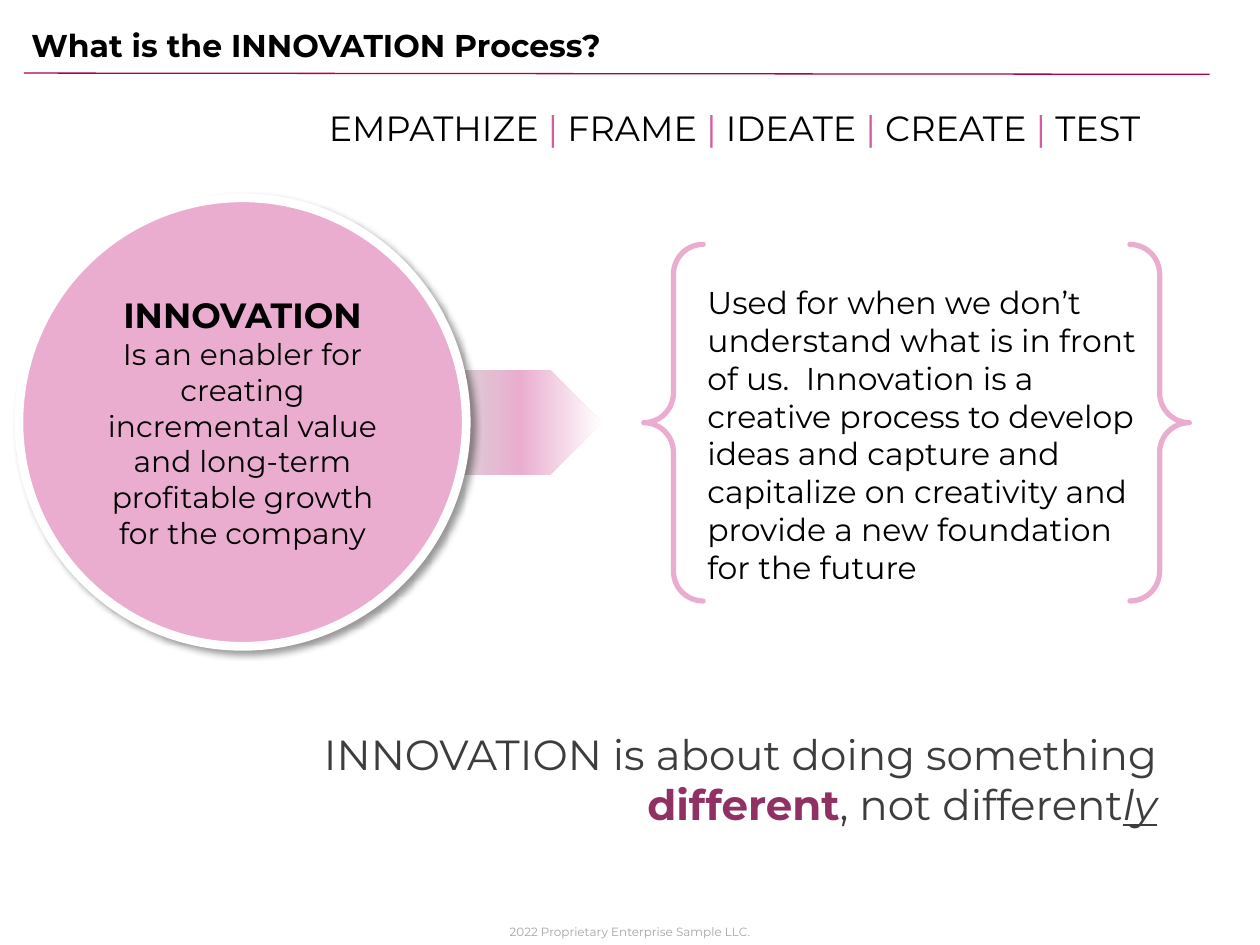
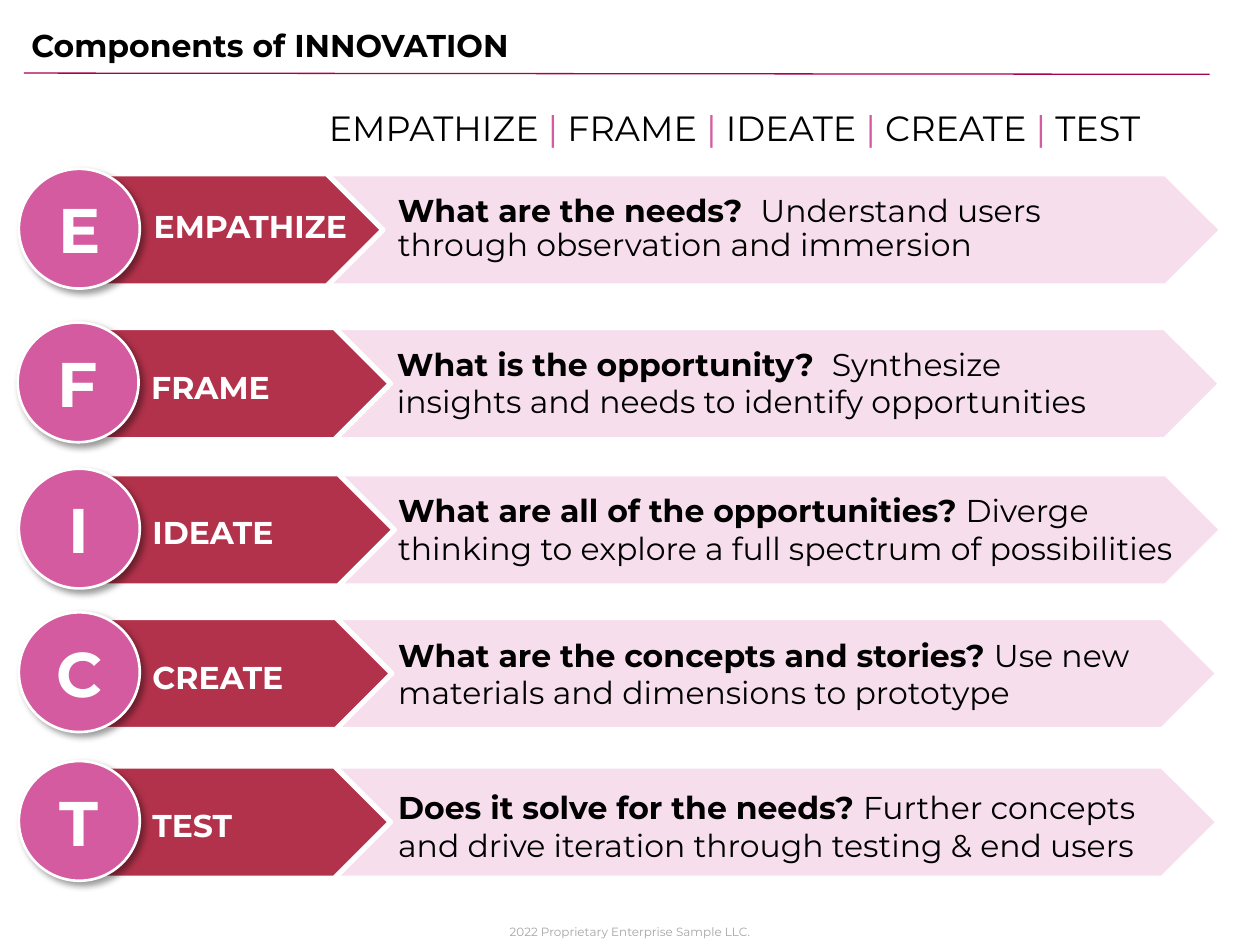
from lxml import etree
from pptx import Presentation, util as u
from pptx.dml.color import RGBColor
from pptx.enum import shapes, text
from pptx.oxml import parse_xml
from pptx.oxml.ns import nsdecls, qn

PX = 9144  # 100 px to the inch
FONT = "Montserrat"
COLOURS = {
    "black": "000000", "white": "FFFFFF", "grey": "3D3D3D", "footer": "A6A6A6",
    "rule": "A8034F", "plum": "903163", "pink": "D45B9F", "rose": "EAADCF",
    "blush": "F6DEEC", "crimson": "B2324B", "silver": "D8D8D8",
}
RGB = {name: RGBColor.from_string(value) for name, value in COLOURS.items()}
PRESET = shapes.MSO_SHAPE
ALIGN = text.PP_ALIGN

STAGES = ["EMPATHIZE", "FRAME", "IDEATE", "CREATE", "TEST"]
TITLES = ["What is the INNOVATION Process?", "Components of INNOVATION"]
FOOTER = "2022 Proprietary Enterprise Sample LLC."


def add_block(slide, preset, box, fill=None, line=None, width=0, shadow=False):
    """Add a preset shape, or a text box when preset is None; box is in px."""
    place = [value * PX for value in box]
    if preset is None:
        shape = slide.shapes.add_textbox(*place)
    else:
        shape = slide.shapes.add_shape(preset, *place)
        shape.shadow.inherit = False
        shape.text_frame.vertical_anchor = text.MSO_ANCHOR.MIDDLE
        if fill:
            shape.fill.solid()
            shape.fill.fore_color.rgb = RGB[fill]
        else:
            shape.fill.background()
        if line:
            shape.line.color.rgb = RGB[line]
            shape.line.width = u.Pt(width)
        else:
            shape.line.fill.background()
        if preset == PRESET.ROUNDED_RECTANGLE:
            shape.adjustments[0] = 0.1
    if shadow:
        effects = shape._element.spPr.find(qn("a:effectLst"))
        effects.append(parse_xml(
            f'<a:outerShdw {nsdecls("a")} blurRad="50800" dist="38100" dir="2700000">'
            '<a:srgbClr val="000000"><a:alpha val="40000"/></a:srgbClr></a:outerShdw>'))
    shape.text_frame.word_wrap = True
    return shape


def write(paragraph, runs, size, colour="black", bold=False, align=ALIGN.LEFT):
    """Fill a paragraph with (text, colour, styles) runs; colour None keeps the paragraph's."""
    paragraph.alignment = align
    paragraph.font.name = FONT
    paragraph.font.size = u.Pt(size)
    paragraph.font.color.rgb = RGB[colour]
    paragraph.font.bold = bold
    for words, run_colour, styles in runs:
        run = paragraph.add_run()
        run.text = words
        if run_colour:
            run.font.color.rgb = RGB[run_colour]
        for style in styles:
            setattr(run.font, style, True)


presentation = Presentation()
presentation.slide_width = 1000 * PX
presentation.slide_height = 750 * PX

# Shared frame: footer, rule, title and the strip of stages
strip = []
for stage in STAGES:
    if strip:
        strip.append((" | ", "pink", []))
    strip.append((stage, None, []))

slides = []
for title in TITLES:
    slide = presentation.slides.add_slide(presentation.slide_layouts[6])
    slides.append(slide)

    footer = add_block(slide, None, (388, 729, 224, 21))
    write(footer.text_frame.paragraphs[0], [(FOOTER, None, [])], 6.8, "footer", align=ALIGN.CENTER)

    rule = slide.shapes.add_connector(
        shapes.MSO_CONNECTOR.STRAIGHT, 19 * PX, 58 * PX, 960 * PX, 59 * PX)
    rule.line.color.rgb = RGB["rule"]
    rule.line.width = u.Pt(0.75)
    etree.SubElement(rule._element.spPr, qn("a:effectLst"))

    heading = add_block(slide, None, (15, 16, 764, 40))
    write(heading.text_frame.paragraphs[0], [(title, None, [])], 18, bold=True)

    stages = add_block(slide, None, (185, 80, 796, 44))
    write(stages.text_frame.paragraphs[0], strip, 20, align=ALIGN.CENTER)

process_slide, components_slide = slides

# Slide 1: what innovation is
closing = add_block(process_slide, None, (185, 573, 743, 91))
write(closing.text_frame.paragraphs[0], [
    ("INNOVATION is about doing something ", None, []),
    ("different", "plum", ["bold"]),
    (", not different", None, []),
    ("ly", None, ["italic", "underline"]),
], 24, "grey", align=ALIGN.RIGHT)

pointer = add_block(process_slide, PRESET.PENTAGON, (353, 294, 125, 83))
pointer.fill.gradient()
pointer.fill.gradient_angle = 0
stop_list = pointer._element.spPr.find(qn("a:gradFill")).find(qn("a:gsLst"))
for stop in list(stop_list):
    stop_list.remove(stop)
for percent, colour in [(0, "silver"), (48, "rose"), (100, "white")]:
    stop = etree.SubElement(stop_list, qn("a:gs"), pos=str(percent * 1000))
    etree.SubElement(stop, qn("a:srgbClr"), val=COLOURS[colour])

definition = add_block(process_slide, PRESET.OVAL, (15, 157, 355, 356), "rose", "white", 5, shadow=True)
frame = definition.text_frame
write(frame.paragraphs[0], [("INNOVATION", None, [])], 20, bold=True, align=ALIGN.CENTER)
write(frame.add_paragraph(), [(
    "Is an enabler for creating incremental value and long-term profitable growth for the company",
    None, [])], 17, align=ALIGN.CENTER)

purpose = add_block(process_slide, PRESET.DOUBLE_BRACE, (511, 194, 433, 283), None, "rose", 3)
purpose.line._get_or_add_ln().set("cap", "rnd")
frame = purpose.text_frame
frame.margin_left, frame.margin_top = 20 * PX, 0
frame.margin_right, frame.margin_bottom = 0, 5 * PX
write(frame.paragraphs[0], [(
    "Used for when we don’t understand what is in front of us.  Innovation is a creative process "
    "to develop ideas and capture and capitalize on creativity and provide a new foundation "
    "for the future", None, [])], 18)

# Slide 2: one row per stage
# top, circle left, arrow left, band left, label box, question box, question, answer
ROWS = [
    (138, 15, 61, 190, (111, 161, 184, 40), (304, 148, 570, 68),
     "What are the needs?  ", "Understand users through observation and immersion"),
    (260, 14, 67, 189, (109, 289, 169, 40), (303, 266, 581, 75),
     "What is the opportunity?  ", "Synthesize insights and needs to identify opportunities"),
    (376, 15, 70, 190, (110, 404, 165, 40), (304, 382, 644, 75),
     "What are all of the opportunities? ",
     "Diverge thinking to explore a full spectrum of possibilities"),
    (490, 15, 68, 187, (110, 519, 169, 40), (304, 497, 644, 75),
     "What are the concepts and stories? ", "Use new materials and dimensions to prototype"),
    (608, 15, 67, 187, (110, 637, 163, 40), (304, 618, 656, 75),
     "Does it solve for the needs? ",
     "Further concepts and drive iteration through testing & end users"),
]
for stage, row in zip(STAGES, ROWS):
    top, circle_left, arrow_left, band_left, label_box, question_box, question, answer = row
    add_block(components_slide, PRESET.PENTAGON, (band_left, top, 780, 89), "blush", "white", 3)
    add_block(components_slide, PRESET.PENTAGON, (arrow_left, top, 243, 89), "crimson", "white", 3)

    detail = add_block(components_slide, PRESET.ROUNDED_RECTANGLE, question_box)
    paragraph = detail.text_frame.paragraphs[0]
    write(paragraph, [(question, None, ["bold"]), (answer, None, [])], 18)
    if stage == STAGES[0]:
        paragraph.line_spacing = 0.9

    circle = add_block(components_slide, PRESET.OVAL, (circle_left, top - 4, 96, 95),
                       "pink", "white", 1.5, shadow=True)
    write(circle.text_frame.paragraphs[0], [(stage[0], None, [])], 36, "white", True, ALIGN.CENTER)

    label = add_block(components_slide, PRESET.ROUNDED_RECTANGLE, label_box)
    paragraph = label.text_frame.paragraphs[0]
    write(paragraph, [(stage, None, [])], 18, "white", True)
    paragraph.line_spacing = 0.9

presentation.save("out.pptx")
